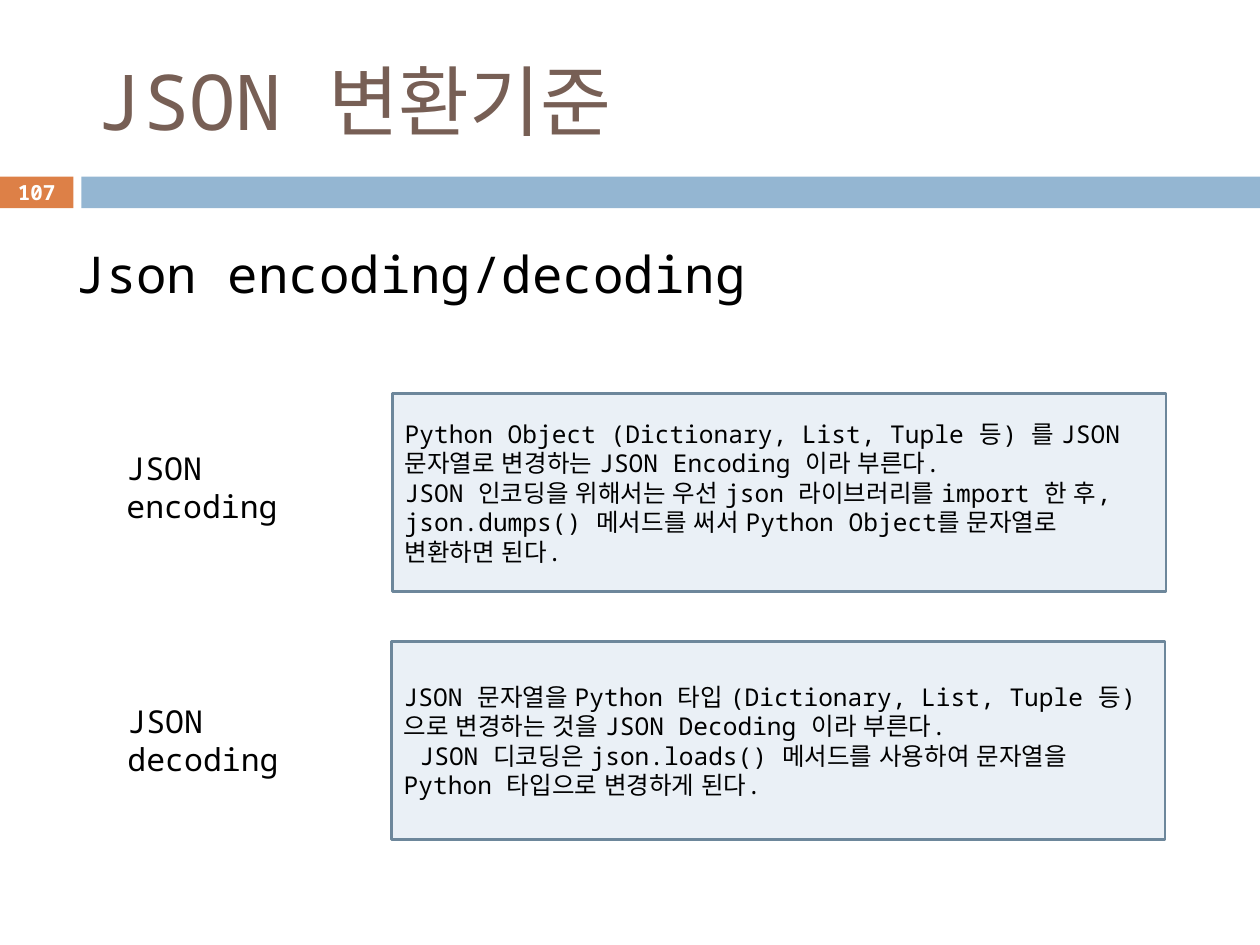
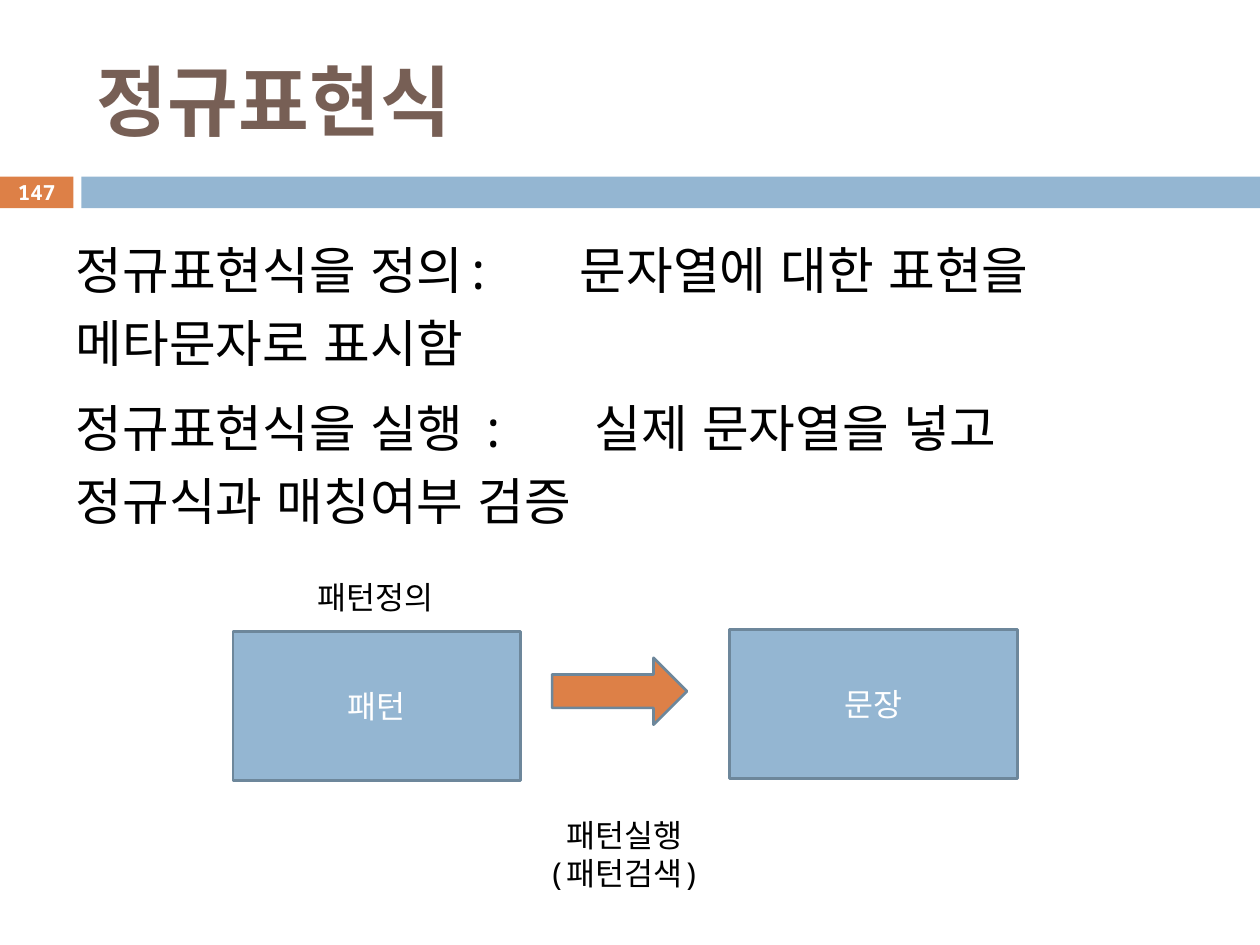
from dataclasses import dataclass
from lxml.etree import SubElement as Sub
from pptx import Presentation
from pptx.dml.color import RGBColor as Rgb
from pptx.enum.lang import MSO_LANGUAGE_ID as Lang
from pptx.enum.shapes import MSO_SHAPE as Kind
from pptx.enum.text import MSO_ANCHOR as Anchor, MSO_AUTO_SIZE as Fit, PP_ALIGN as Align
from pptx.oxml.ns import qn
from pptx.util import Cm, Pt


@dataclass(frozen=True)
class Theme:
    font: str = "Noto Sans Mono"
    brown: str = "775F55"
    blue: str = "94B6D2"
    pale: str = "EAF0F6"
    edge: str = "6D879B"
    rust: str = "DD8047"
    black: str = "000000"
    white: str = "FFFFFF"
    head: float = 44
    lead: float = 29
    label: float = 18
    note: float = 14
    page: float = 11.9
    rule: float = 1.5


THEME = Theme()


def write(frame, text, size=THEME.label, color=THEME.black, bold=False, align=Align.LEFT,
          anchor=Anchor.TOP, space=1, gap=0, dents=(), tabs=()):
    frame.word_wrap = True
    frame.auto_size = Fit.NONE
    frame.vertical_anchor = anchor
    for i, line in enumerate(text.split("\n")):
        para = frame.add_paragraph() if i else frame.paragraphs[0]
        prop = para._p.get_or_add_pPr()
        prop.set("marL", "0")
        prop.set("indent", str(Cm(dents[i] if dents else 0)))
        Sub(prop, qn("a:buNone"))
        if tabs:
            stop = str(Cm(tabs[i]))
            prop.set("defTabSz", stop)
            Sub(Sub(prop, qn("a:tabLst")), qn("a:tab"), pos=stop, algn="l")
        para.alignment = align
        para.line_spacing = space
        para.space_before = Pt(gap if i else 0)
        run = para.add_run()
        run.text = line
        font = run.font
        font.size = Pt(size)
        font.bold = bold
        font.name = THEME.font
        font.color.rgb = Rgb.from_string(color)
        font.language_id = Lang.KOREAN


def place(shape, spot):
    shape.left, shape.top, shape.width, shape.height = map(Cm, spot)


class Deck:
    def __init__(self, theme):
        self.theme = theme
        self.file = Presentation()
        self.file.slide_width = Cm(25.4)
        self.file.slide_height = Cm(19.05)
        self.slide = None

    def start(self, title, page, bold=False):
        look = self.theme
        self.slide = self.file.slides.add_slide(self.file.slide_layouts[1])
        head = self.slide.shapes.title
        place(head, (1.7, 0.64, 22.66, 2.74))
        write(head.text_frame, title, size=look.head, color=look.brown, bold=bold,
              anchor=Anchor.MIDDLE)
        self.shape((0, 3.56, 1.48, 0.64), look.rust)
        self.shape((1.64, 3.56, 23.76, 0.64), look.blue)
        self.label((0, 3.53, 1.48, 0.69), page, size=look.page, color=look.white,
                   bold=True, align=Align.CENTER, anchor=Anchor.MIDDLE)

    def body(self, spot, text, **form):
        body = self.slide.placeholders[1]
        place(body, spot)
        write(body.text_frame, text, size=self.theme.lead, space=1.2, gap=7, **form)

    def shape(self, spot, fill, edge=None, kind=Kind.RECTANGLE):
        shape = self.slide.shapes.add_shape(kind, *map(Cm, spot))
        shape.shadow.inherit = False
        shape.fill.solid()
        shape.fill.fore_color.rgb = Rgb.from_string(fill)
        if edge:
            shape.line.color.rgb = Rgb.from_string(edge)
            shape.line.width = Pt(self.theme.rule)
        else:
            shape.line.fill.background()
        return shape

    def box(self, spot, text, fill, **form):
        shape = self.shape(spot, fill, self.theme.edge)
        write(shape.text_frame, text, anchor=Anchor.MIDDLE, **form)

    def label(self, spot, text, **form):
        shape = self.slide.shapes.add_textbox(*map(Cm, spot))
        write(shape.text_frame, text, **form)

    def save(self):
        self.file.save("out.pptx")


def json(deck):
    deck.start("JSON 변환기준", "107")
    deck.body((1.27, 4.52, 22.86, 3.81), "Json encoding/decoding")
    rows = (
        (7.91, 7.93, 2.3, 8.93, "JSON encoding", (0, 0),
         "Python Object (Dictionary, List, Tuple 등) 를 JSON 문자열로 변경하는 JSON Encoding 이라 부른다.\n"
         "JSON 인코딩을 위해서는 우선 json 라이브러리를 import 한 후, json.dumps() 메서드를 써서 "
         "Python Object를 문자열로 변환하면 된다."),
        (7.89, 12.93, 2.32, 14.03, "JSON decoding", (0, 0.32),
         "JSON 문자열을 Python 타입 (Dictionary, List, Tuple 등) 으로 변경하는 것을 JSON Decoding 이라 부른다.\n"
         "JSON 디코딩은 json.loads() 메서드를 사용하여 문자열을 Python 타입으로 변경하게 된다."),
    )
    for left, top, side, high, name, dents, text in rows:
        deck.box((left, top, 15.6, 4), text, THEME.pale, size=THEME.note, dents=dents)
        deck.label((side, high, 4.39, 1.8), name)


def regex(deck):
    deck.start("정규표현식", "147", bold=True)
    deck.body((1.27, 4.44, 22.86, 5.69),
              "정규표현식을 정의:\t문자열에 대한 표현을 메타문자로 표시함\n"
              "정규표현식을 실행 :\t실제 문자열을 넣고 정규식과 매칭여부 검증",
              tabs=(10.16, 10.46))
    for left, top, name in ((4.7, 12.73, "패턴"), (14.71, 12.69, "문장")):
        deck.box((left, top, 5.8, 3), name, THEME.blue, color=THEME.white,
                 align=Align.CENTER)
    deck.shape((11.13, 13.26, 2.72, 1.35), THEME.rust, THEME.edge, Kind.RIGHT_ARROW)
    deck.label((5.47, 11.53, 4.19, 1.02), "패턴정의", align=Align.CENTER)
    deck.label((10.49, 16.33, 4.19, 1.8), "패턴실행\n(패턴검색)", align=Align.CENTER)


def main():
    deck = Deck(THEME)
    json(deck)
    regex(deck)
    deck.save()


if __name__ == "__main__":
    main()
